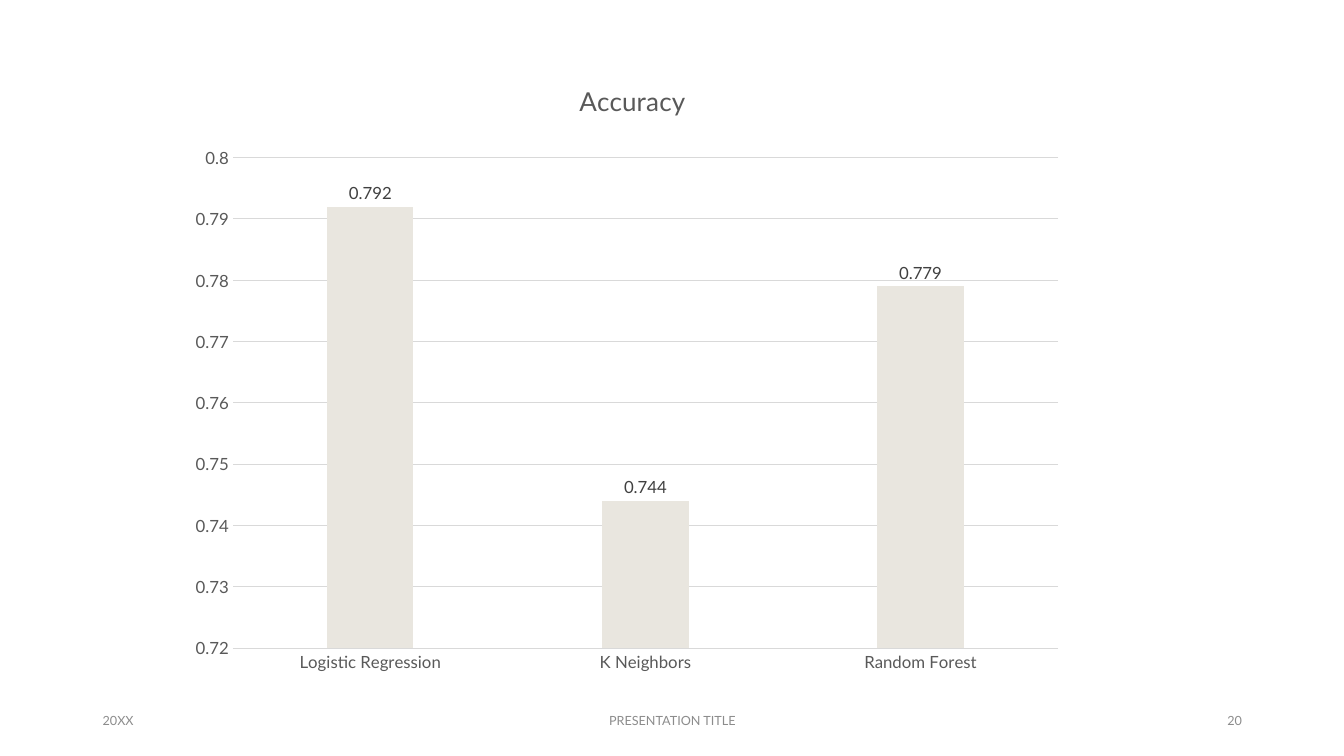
from lxml import etree
from pptx import Presentation
from pptx.chart.data import CategoryChartData
from pptx.dml.color import RGBColor
from pptx.enum.chart import XL_CHART_TYPE, XL_LABEL_POSITION, XL_TICK_MARK
from pptx.enum.text import MSO_ANCHOR, PP_ALIGN
from pptx.oxml.ns import qn
from pptx.util import Pt

COLUMNS = XL_CHART_TYPE.COLUMN_CLUSTERED
OUTSIDE_END = XL_LABEL_POSITION.OUTSIDE_END
NO_TICKS = XL_TICK_MARK.NONE
MIDDLE = MSO_ANCHOR.MIDDLE
LEFT, CENTER, RIGHT = PP_ALIGN.LEFT, PP_ALIGN.CENTER, PP_ALIGN.RIGHT

FONT = "Lato"
BLACK = RGBColor(0x00, 0x00, 0x00)
LABEL_GRAY = RGBColor(0x40, 0x40, 0x40)
AXIS_GRAY = RGBColor(0x59, 0x59, 0x59)
FOOTER_GRAY = RGBColor(0x8C, 0x8C, 0x8C)
GRID_GRAY = RGBColor(0xD9, 0xD9, 0xD9)
BAR_BEIGE = RGBColor(0xE9, 0xE6, 0xDF)

METRIC = "Accuracy"
SCORES = {"Logistic Regression": 0.792, "K Neighbors": 0.744, "Random Forest": 0.779}
CHART_BOX = (131.76, 42.48, 640.08, 455.04)
PLOT_LAYOUT = {"x": 0.054, "y": 0.154, "w": 0.921, "h": 0.77}

# text, left, width, alignment
FOOTERS = [
    ("20XX", 66.24, 216, LEFT),
    ("PRESENTATION TITLE", 318.24, 324, CENTER),
    ("20", 678.24, 216, RIGHT),
]
FOOTER_TOP, FOOTER_HEIGHT = 500.4, 28.8


def style_font(font, size, color):
    for name, value in {"name": FONT, "size": Pt(size), "bold": False}.items():
        setattr(font, name, value)
    font.color.rgb = color


def style_line(line):
    line.color.rgb = GRID_GRAY
    line.width = Pt(0.75)


def fix_plot_area(chart):
    """Pin the inner plot area to fixed fractions of the chart."""
    plot_area = chart.plots[0]._element.getparent()
    layout = plot_area.find(qn("c:layout"))
    if layout is None:
        layout = etree.Element(qn("c:layout"))
        plot_area.insert(0, layout)
    manual = etree.SubElement(layout, qn("c:manualLayout"))
    settings = {"layoutTarget": "inner", "xMode": "edge", "yMode": "edge", **PLOT_LAYOUT}
    for tag, value in settings.items():
        etree.SubElement(manual, qn(f"c:{tag}")).set("val", str(value))


def add_footer(slide, text, left, width, alignment):
    box = slide.shapes.add_textbox(Pt(left), Pt(FOOTER_TOP), Pt(width), Pt(FOOTER_HEIGHT))
    frame = box.text_frame
    frame.word_wrap = True
    frame.vertical_anchor = MIDDLE
    paragraph = frame.paragraphs[0]
    paragraph.alignment = alignment
    run = paragraph.add_run()
    run.text = text
    style_font(run.font, 9, FOOTER_GRAY)


def add_accuracy_chart(slide):
    data = CategoryChartData()
    data.categories = list(SCORES)
    data.add_series(METRIC, list(SCORES.values()))
    chart = slide.shapes.add_chart(COLUMNS, *map(Pt, CHART_BOX), data).chart
    style_font(chart.font, 10, BLACK)
    chart.has_legend = False
    chart.has_title = True
    title = chart.chart_title
    title.include_in_layout = False
    title.text_frame.text = METRIC
    style_font(title.text_frame.paragraphs[0].runs[0].font, 18.6, AXIS_GRAY)

    for axis in (chart.category_axis, chart.value_axis):
        axis.major_tick_mark = axis.minor_tick_mark = NO_TICKS
        style_font(axis.tick_labels.font, 12, AXIS_GRAY)
    style_line(chart.category_axis.format.line)

    value_axis = chart.value_axis
    scale = {"minimum_scale": 0.72, "maximum_scale": 0.8, "major_unit": 0.01}
    for name, value in scale.items():
        setattr(value_axis, name, value)
    value_axis.format.line.fill.background()
    style_line(value_axis.major_gridlines.format.line)

    plot = chart.plots[0]
    bars = {"gap_width": 219, "overlap": -27, "vary_by_categories": False}
    for name, value in bars.items():
        setattr(plot, name, value)
    series = plot.series[0]
    series.format.fill.solid()
    series.format.fill.fore_color.rgb = BAR_BEIGE
    labels = series.data_labels
    labels.show_value = True
    labels.position = OUTSIDE_END
    style_font(labels.font, 12, LABEL_GRAY)
    fix_plot_area(chart)


def main():
    presentation = Presentation()
    presentation.slide_width, presentation.slide_height = Pt(960), Pt(540)
    slide = presentation.slides.add_slide(presentation.slide_layouts[6])
    for footer in FOOTERS:
        add_footer(slide, *footer)
    add_accuracy_chart(slide)
    presentation.save("out.pptx")


if __name__ == "__main__":
    main()
